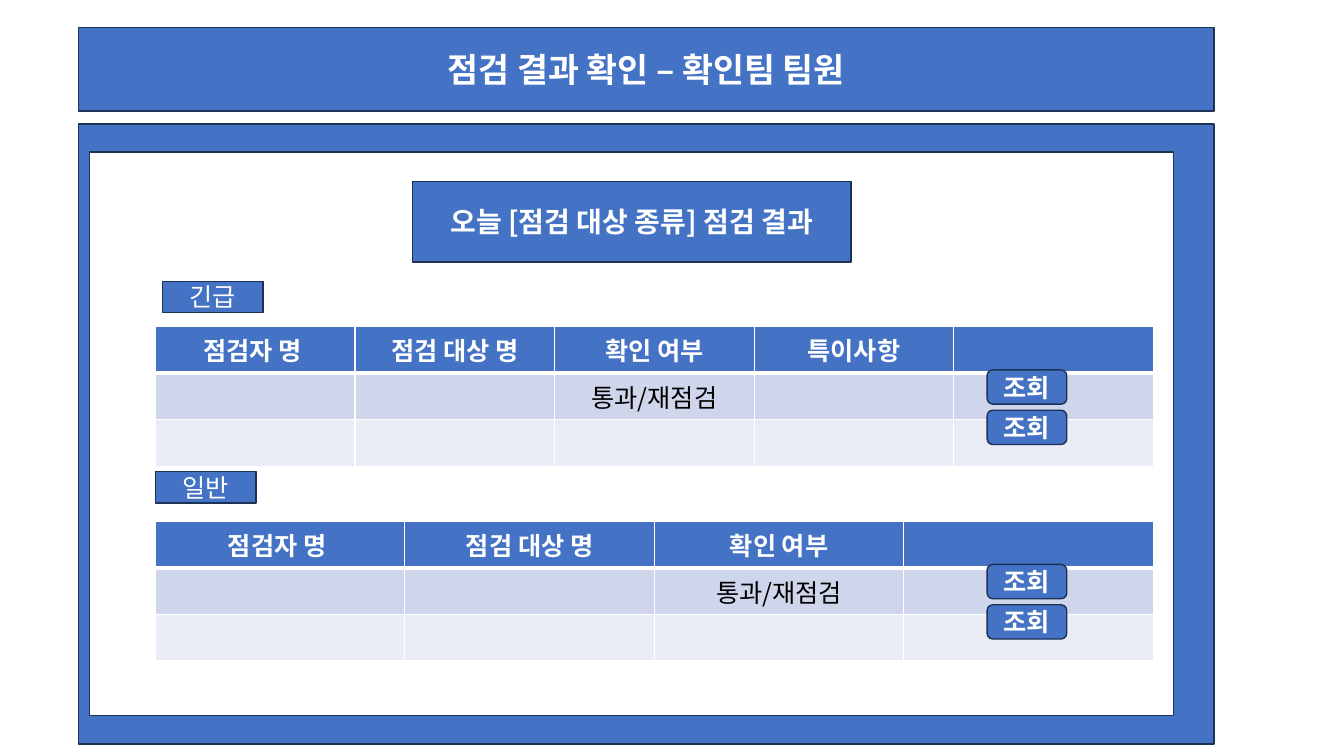
from dataclasses import dataclass

import pptx
import pptx.dml.color
import pptx.enum.shapes
import pptx.enum.text
import pptx.oxml
import pptx.oxml.ns
import pptx.util

EMU_PER_PX = 9144  # 100 px to the inch
SHAPES = pptx.enum.shapes.MSO_SHAPE


@dataclass(frozen=True)
class Theme:
    font: str = "Noto Sans CJK KR"
    blue: str = "4472C4"
    outline: str = "1E3256"
    white: str = "FFFFFF"
    black: str = "000000"
    bands: tuple[str, ...] = ("CFD5EA", "E9EBF5")
    title_size: int = 24
    heading_size: int = 20
    body_size: int = 18
    thin: int = 1
    thick: int = 3


@dataclass(frozen=True)
class Box:
    left: int
    top: int
    width: int
    height: int

    def emu(self) -> tuple[int, int, int, int]:
        return px(self.left), px(self.top), px(self.width), px(self.height)


@dataclass(frozen=True)
class ResultSection:
    label: str
    label_box: Box
    table_top: int
    headers: tuple[str, ...]


THEME = Theme()
TABLE_LEFT, TABLE_WIDTH, ROW_HEIGHT = 154, 990, 46
STATUS_COLUMN, STATUS = 2, "통과/재점검"
BUTTON_LEFT, BUTTON_OFFSET, BUTTON_PITCH = 979, 43, 40

SECTIONS = (
    ResultSection("긴급", Box(161, 279, 100, 31), 324,
                  ("점검자 명 ", "점검 대상 명", "확인 여부", "특이사항", "")),
    ResultSection("일반", Box(154, 468, 100, 31), 517,
                  ("점검자 명 ", "점검 대상 명", "확인 여부", "")),
)


def px(length: int) -> int:
    return pptx.util.Emu(length * EMU_PER_PX)


def rgb(color: str) -> pptx.dml.color.RGBColor:
    return pptx.dml.color.RGBColor.from_string(color)


def write(frame, text: str, size: int, color: str, bold: bool) -> None:
    """Add one centred run, with the font set for Latin and Korean."""
    paragraph = frame.paragraphs[0]
    paragraph.alignment = pptx.enum.text.PP_ALIGN.CENTER
    run = paragraph.add_run()
    run.text = text
    run.font.name = THEME.font
    run.font.size = pptx.util.Pt(size)
    run.font.bold = bold
    run.font.color.rgb = rgb(color)
    east_asian = pptx.oxml.parse_xml(
        f'<a:ea {pptx.oxml.ns.nsdecls("a")} typeface="{THEME.font}"/>')
    run.font._element.find(pptx.oxml.ns.qn("a:latin")).addnext(east_asian)


def paint(shape, fill: str) -> None:
    shape.fill.solid()
    shape.fill.fore_color.rgb = rgb(fill)
    shape.line.color.rgb = rgb(THEME.outline)
    shape.line.width = pptx.util.Pt(THEME.thin)


def add_box(slide, box: Box, fill: str = THEME.blue, text: str = "",
            size: int = THEME.body_size, bold: bool = False,
            preset=SHAPES.RECTANGLE) -> None:
    shape = slide.shapes.add_shape(preset, *box.emu())
    shape.shadow.inherit = False
    paint(shape, fill)
    if text:
        shape.text_frame.vertical_anchor = pptx.enum.text.MSO_ANCHOR.MIDDLE
        write(shape.text_frame, text, size, THEME.white, bold)


def set_title(slide, box: Box, text: str) -> None:
    title = slide.shapes.title
    title.left, title.top, title.width, title.height = box.emu()
    paint(title, THEME.blue)
    title.text_frame.auto_size = pptx.enum.text.MSO_AUTO_SIZE.NONE
    title.text_frame.vertical_anchor = pptx.enum.text.MSO_ANCHOR.MIDDLE
    write(title.text_frame, text, THEME.title_size, THEME.white, True)


def set_borders(cell, top: int, bottom: int) -> None:
    """Draw the white cell borders; widths are in points."""
    widths = {"lnL": THEME.thin, "lnR": THEME.thin, "lnT": top, "lnB": bottom}
    properties = cell._tc.get_or_add_tcPr()
    for index, (side, width) in enumerate(widths.items()):
        properties.insert(index, pptx.oxml.parse_xml(
            f'<a:{side} {pptx.oxml.ns.nsdecls("a")} w="{pptx.util.Pt(width)}">'
            f'<a:solidFill><a:srgbClr val="{THEME.white}"/></a:solidFill></a:{side}>'))


def add_results(slide, section: ResultSection) -> None:
    fills = (THEME.blue, *THEME.bands)
    rules = (THEME.thin, THEME.thick, THEME.thin, THEME.thin)
    box = Box(TABLE_LEFT, section.table_top, TABLE_WIDTH, ROW_HEIGHT * len(fills))
    results = slide.shapes.add_table(
        len(fills), len(section.headers), *box.emu()).table
    for row, fill in enumerate(fills):
        for column, header in enumerate(section.headers):
            cell = results.cell(row, column)
            cell.fill.solid()
            cell.fill.fore_color.rgb = rgb(fill)
            set_borders(cell, rules[row], rules[row + 1])
            if row == 0 and header:
                write(cell.text_frame, header, THEME.body_size, THEME.white, True)
            elif row == 1 and column == STATUS_COLUMN:
                write(cell.text_frame, STATUS, THEME.body_size, THEME.black, False)


def main() -> None:
    presentation = pptx.Presentation()
    presentation.slide_width = pptx.util.Inches(13.33)
    presentation.slide_height = pptx.util.Inches(7.5)
    slide = presentation.slides.add_slide(
        presentation.slide_layouts.get_by_name("Title Only"))

    # Title bar, frame and heading
    set_title(slide, Box(78, 27, 1126, 83), "점검 결과 확인 – 확인팀 팀원")
    add_box(slide, Box(78, 123, 1126, 615))
    add_box(slide, Box(89, 151, 1075, 559), THEME.white)
    add_box(slide, Box(409, 180, 435, 80), text="오늘 [점검 대상 종류] 점검 결과",
            size=THEME.heading_size, bold=True)

    # Urgent and general results, each with a view button per row
    for section in SECTIONS:
        add_box(slide, section.label_box, text=section.label)
        add_results(slide, section)
        for row in range(len(THEME.bands)):
            top = section.table_top + BUTTON_OFFSET + row * BUTTON_PITCH
            add_box(slide, Box(BUTTON_LEFT, top, 79, 34), text="조회",
                    bold=True, preset=SHAPES.ROUNDED_RECTANGLE)

    presentation.save("out.pptx")


if __name__ == "__main__":
    main()
